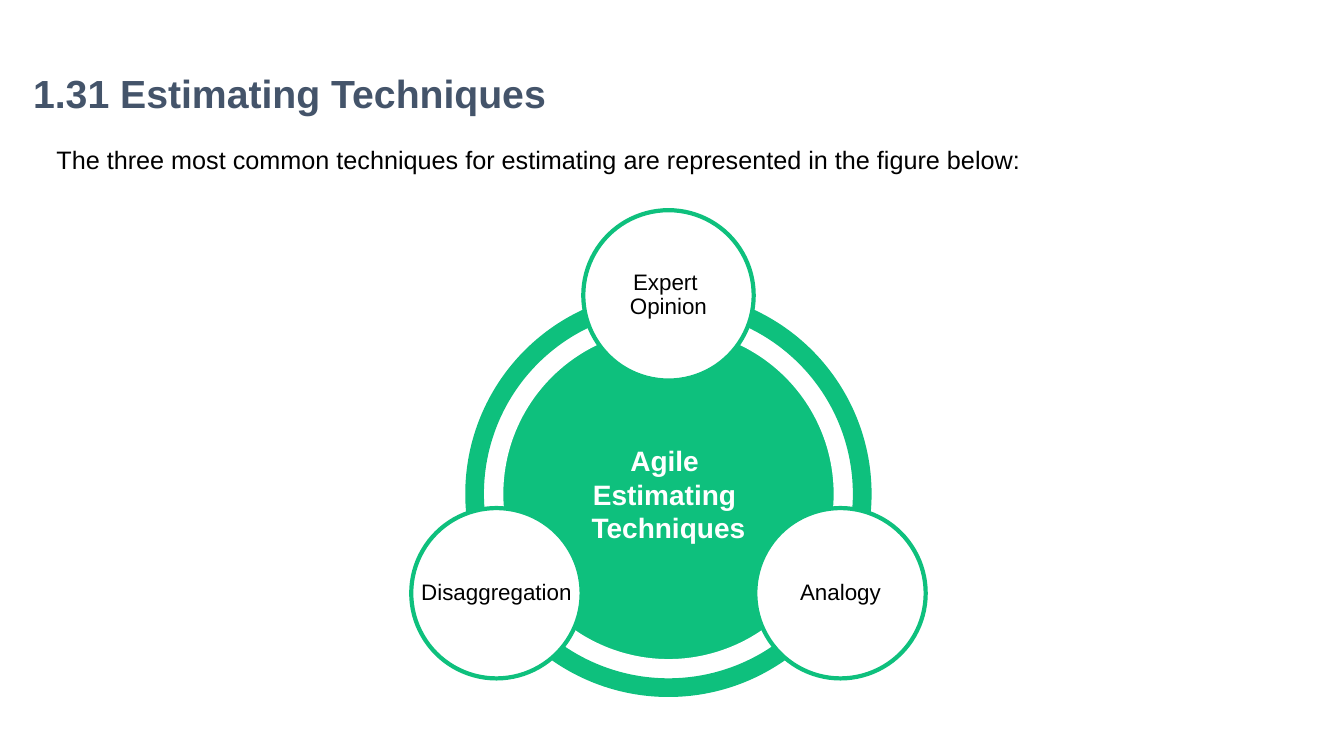
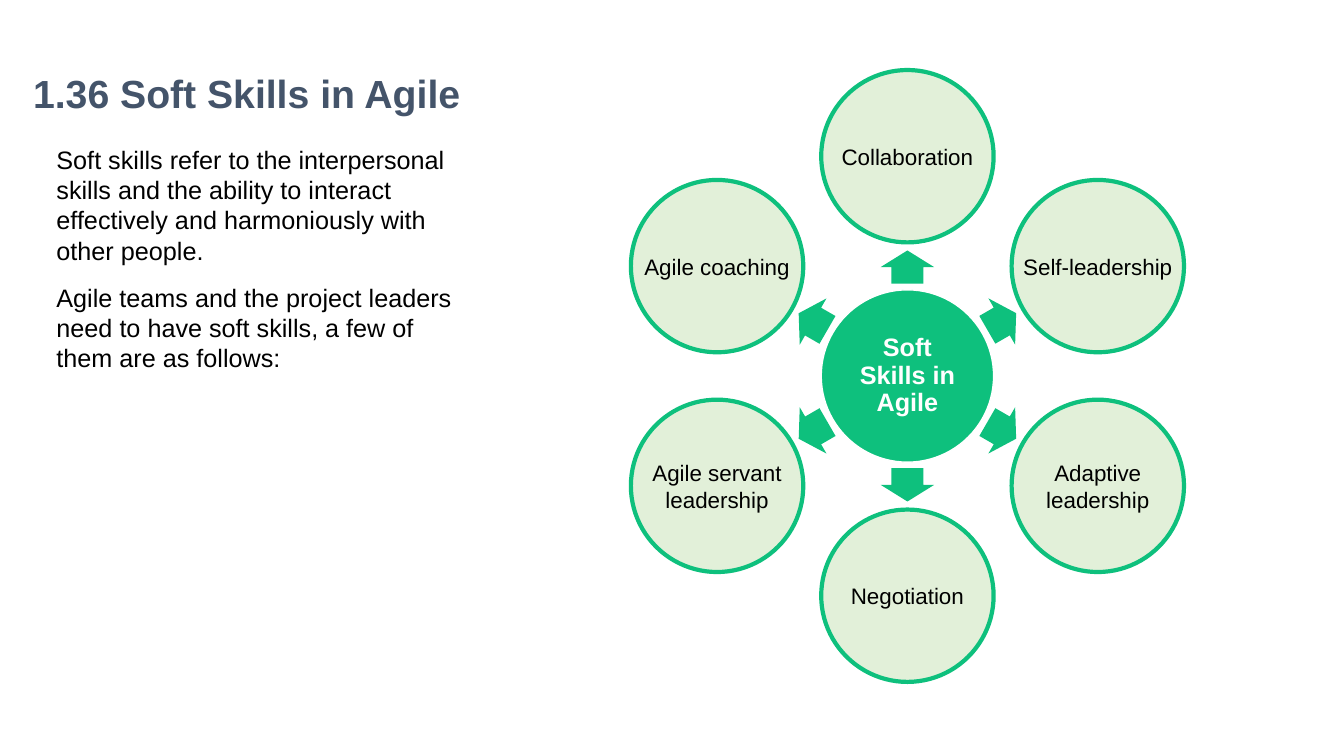
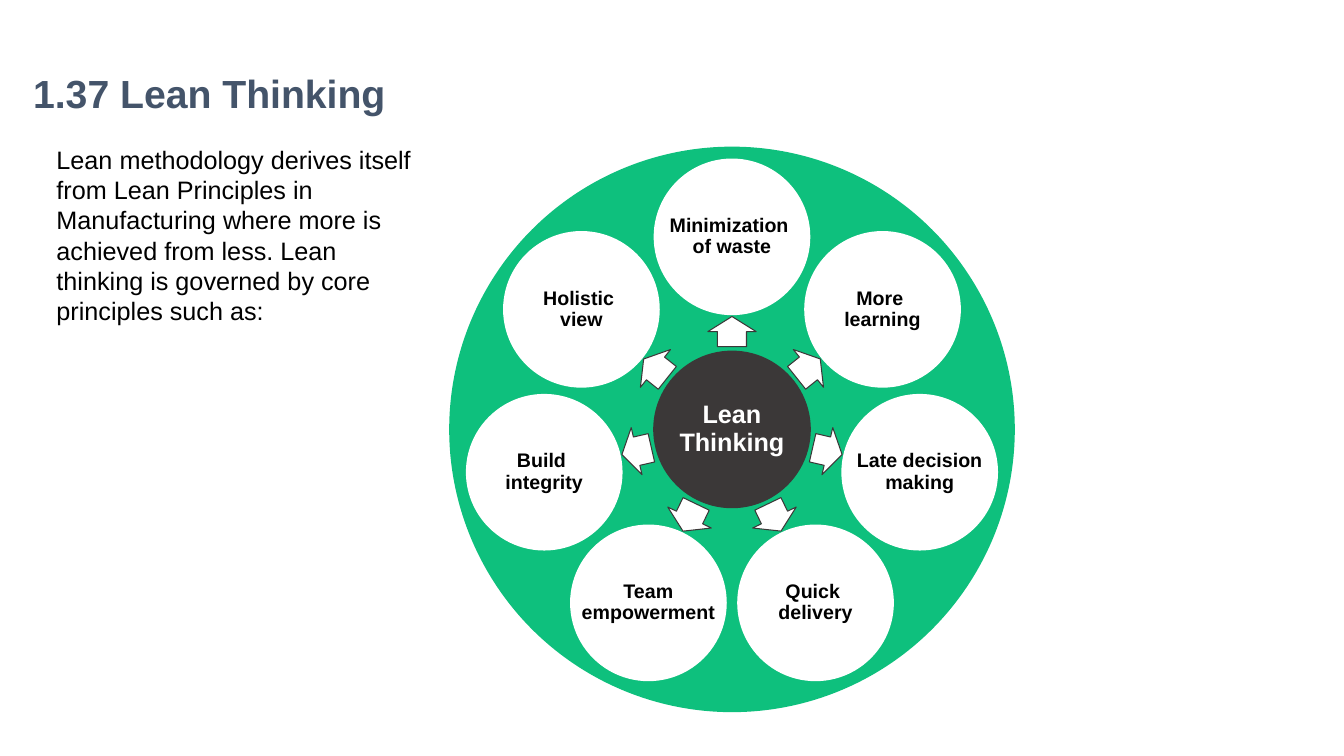
from copy import deepcopy
from math import cos, radians, sin

from pptx import Presentation
from pptx.dml.color import RGBColor
from pptx.enum.shapes import MSO_SHAPE
from pptx.enum.text import MSO_ANCHOR, PP_ALIGN
from pptx.oxml.ns import qn
from pptx.util import Inches, Pt

COLORS = {
    "title": "44546A",
    "green": "0EC07D",
    "pale": "E2F0D9",
    "dark": "3B3838",
    "white": "FFFFFF",
    "black": "000000",
}
TITLE = {"size": 28, "bold": True, "color": "title", "spacing": 0.9}
BODY = {"size": 18, "bold": False, "color": "black", "before": 6, "after": 6}

SLIDES = [
    {
        "title": "1.31 Estimating Techniques",
        "body": ["The three most common techniques for estimating are represented in the figure below:"],
        "body_width": 11.24,
        "center": (6.63, 4.9),
        "backdrop": (MSO_SHAPE.DONUT, 4.03),
        "hub": {"text": "Agile \nEstimating \nTechniques", "size": 3.29, "fill": "green", "line": "white", "weight": 1},
        "hub_text": {"size": 20, "bold": True, "color": "white", "align": PP_ALIGN.CENTER},
        "nodes": ["Expert \nOpinion", "Analogy", "Disaggregation"],
        "node": {"size": 1.69, "fill": "white", "line": "green", "weight": 3},
        "node_text": {"size": 16, "bold": False, "color": "black", "align": PP_ALIGN.CENTER, "spacing": 0.9},
        "orbit": 1.97,
        "arrow": None,
    },
    {
        "title": "1.36 Soft Skills in Agile",
        "body": [
            "Soft skills refer to the interpersonal skills and the ability to interact effectively "
            "and harmoniously with other people.",
            "Agile teams and the project leaders need to have soft skills, a few of them are as follows:",
        ],
        "body_width": 4.18,
        "center": (9, 3.73),
        "backdrop": None,
        "hub": {"text": "Soft\nSkills in\nAgile", "size": 1.71, "fill": "green", "line": "white", "weight": 1},
        "hub_text": {"size": 18, "bold": True, "color": "white", "align": PP_ALIGN.CENTER, "spacing": 0.9},
        "nodes": ["Collaboration", "Self-leadership", "Adaptive\nleadership", "Negotiation",
                  "Agile servant\nleadership", "Agile coaching"],
        "node": {"size": 1.71, "fill": "pale", "line": "green", "weight": 3},
        "node_text": {"size": 16, "bold": False, "color": "black", "align": PP_ALIGN.CENTER},
        "orbit": 2.18,
        "arrow": {"width": 0.53, "height": 0.33, "orbit": 1.08, "fill": "green", "line": None, "weight": 0},
    },
    {
        "title": "1.37 Lean Thinking",
        "body": [
            "Lean methodology derives itself from Lean Principles in Manufacturing where more is "
            "achieved from less. Lean thinking is governed by core principles such as:",
        ],
        "body_width": 3.68,
        "center": (7.26, 4.26),
        "backdrop": (MSO_SHAPE.OVAL, 5.61),
        "hub": {"text": "Lean\nThinking", "size": 1.55, "fill": "dark", "line": "dark", "weight": 1},
        "hub_text": {"size": 18, "bold": True, "color": "white", "align": PP_ALIGN.CENTER, "spacing": 0.9},
        "nodes": ["Minimization \nof waste", "More \nlearning", "Late decision\nmaking", "Quick \ndelivery",
                  "Team\nempowerment", "Build \nintegrity", "Holistic \nview"],
        "node": {"size": 1.54, "fill": "white", "line": "white", "weight": 1},
        "node_text": {"size": 14, "bold": True, "color": "black", "align": PP_ALIGN.CENTER, "spacing": 0.9},
        "orbit": 1.91,
        "arrow": {"width": 0.48, "height": 0.3, "orbit": 0.97, "fill": "white", "line": "dark", "weight": 0.75},
    },
]


def write(shape, texts, style, insets, wrap):
    frame = shape.text_frame
    frame.word_wrap = wrap
    for side, inset in zip(("left", "top", "right", "bottom"), insets):
        setattr(frame, f"margin_{side}", Inches(inset))
    for number, text in enumerate(texts):
        para = frame.add_paragraph() if number else frame.paragraphs[0]
        para.text = text.replace("\n", "\v")
        settings = {
            "alignment": style.get("align", PP_ALIGN.LEFT),
            "line_spacing": style.get("spacing", 1.0),
            "space_before": Pt(style.get("before", 0)),
            "space_after": Pt(style.get("after", 0)),
        }
        for name, value in settings.items():
            setattr(para, name, value)
        for span in para.runs:
            for name, value in {"name": "Arial", "size": Pt(style["size"]), "bold": style["bold"]}.items():
                setattr(span.font, name, value)
            span.font.color.rgb = RGBColor.from_string(COLORS[style["color"]])
        for line_break in para._p.findall(qn("a:br")):
            line_break.insert(0, deepcopy(para.runs[0]._r.rPr))


def add_centered(page, kind, middle, width, height, look):
    shape = page.shapes.add_shape(
        kind, Inches(middle[0] - width / 2), Inches(middle[1] - height / 2), Inches(width), Inches(height)
    )
    shape.shadow.inherit = False
    shape.fill.solid()
    shape.fill.fore_color.rgb = RGBColor.from_string(COLORS[look["fill"]])
    if look["line"]:
        shape.line.color.rgb = RGBColor.from_string(COLORS[look["line"]])
        shape.line.width = Pt(look["weight"])
    else:
        shape.line.fill.background()
    shape.text_frame.vertical_anchor = MSO_ANCHOR.MIDDLE
    return shape


deck = Presentation()
deck.slide_width = Inches(13.33)
deck.slide_height = Inches(7.5)

for content in SLIDES:
    page = deck.slides.add_slide(deck.slide_layouts[6])
    title_box = page.shapes.add_textbox(Inches(0.23), Inches(0.69), Inches(11.5), Inches(0.54))
    write(title_box, [content["title"]], TITLE, (0.1, 0.05, 0.1, 0.05), True)
    body_box = page.shapes.add_textbox(Inches(0.56), Inches(1.43), Inches(content["body_width"]), Inches(5.29))
    write(body_box, content["body"], BODY, (0, 0, 0.1, 0.05), True)

    center_x, center_y = content["center"]
    if content["backdrop"]:
        kind, size = content["backdrop"]
        backdrop = add_centered(page, kind, content["center"], size, size, {"fill": "green", "line": None})
        if kind == MSO_SHAPE.DONUT:
            backdrop.adjustments[0] = 0.046

    hub = content["hub"]
    hub_circle = add_centered(page, MSO_SHAPE.OVAL, content["center"], hub["size"], hub["size"], hub)
    write(hub_circle, [hub["text"]], content["hub_text"], (0, 0, 0, 0), False)

    node, arrow = content["node"], content["arrow"]
    for index, label in enumerate(content["nodes"]):
        turn = 360 * index / len(content["nodes"])
        across, up = sin(radians(turn)), cos(radians(turn))
        if arrow:
            middle = (center_x + arrow["orbit"] * across, center_y - arrow["orbit"] * up)
            pointer = add_centered(page, MSO_SHAPE.UP_ARROW, middle, arrow["width"], arrow["height"], arrow)
            pointer.adjustments[0] = 0.6
            pointer.adjustments[1] = 0.5
            pointer.rotation = turn
        middle = (center_x + content["orbit"] * across, center_y - content["orbit"] * up)
        circle = add_centered(page, MSO_SHAPE.OVAL, middle, node["size"], node["size"], node)
        write(circle, [label], content["node_text"], (0, 0, 0, 0), False)

deck.save("out.pptx")
